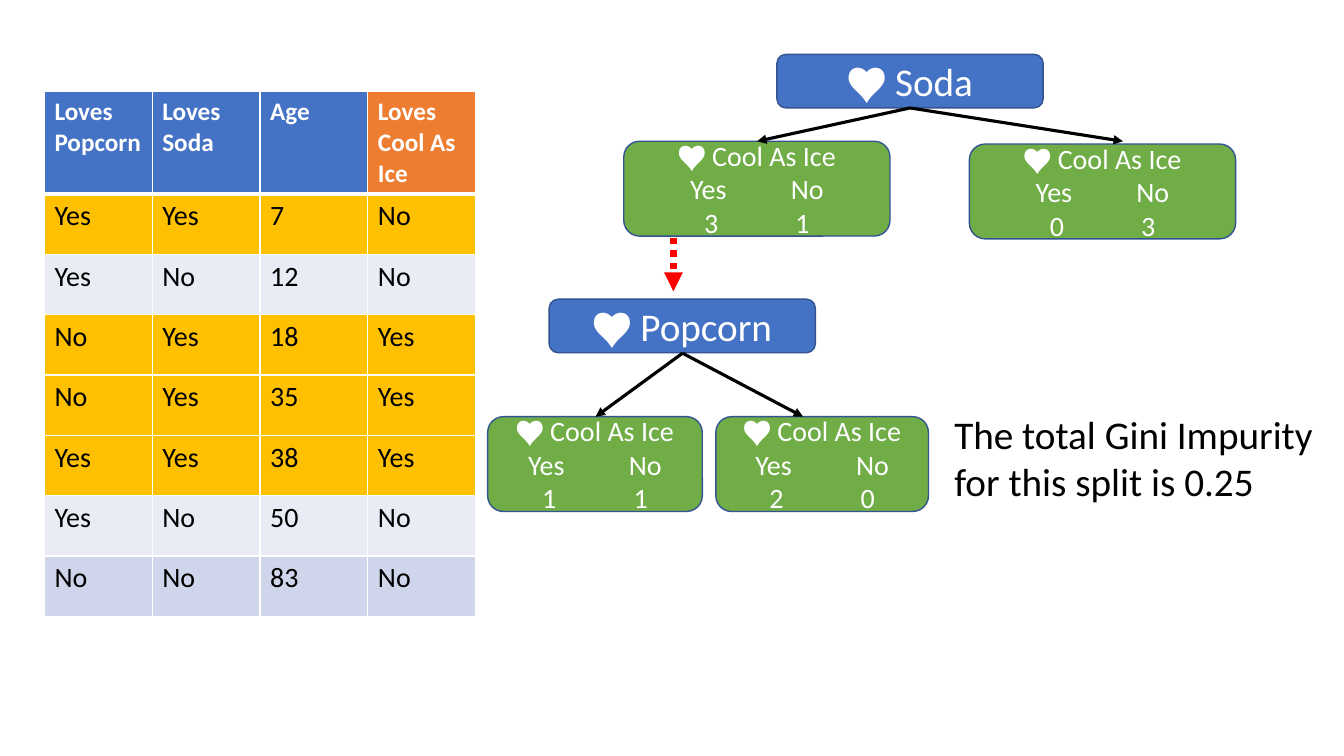
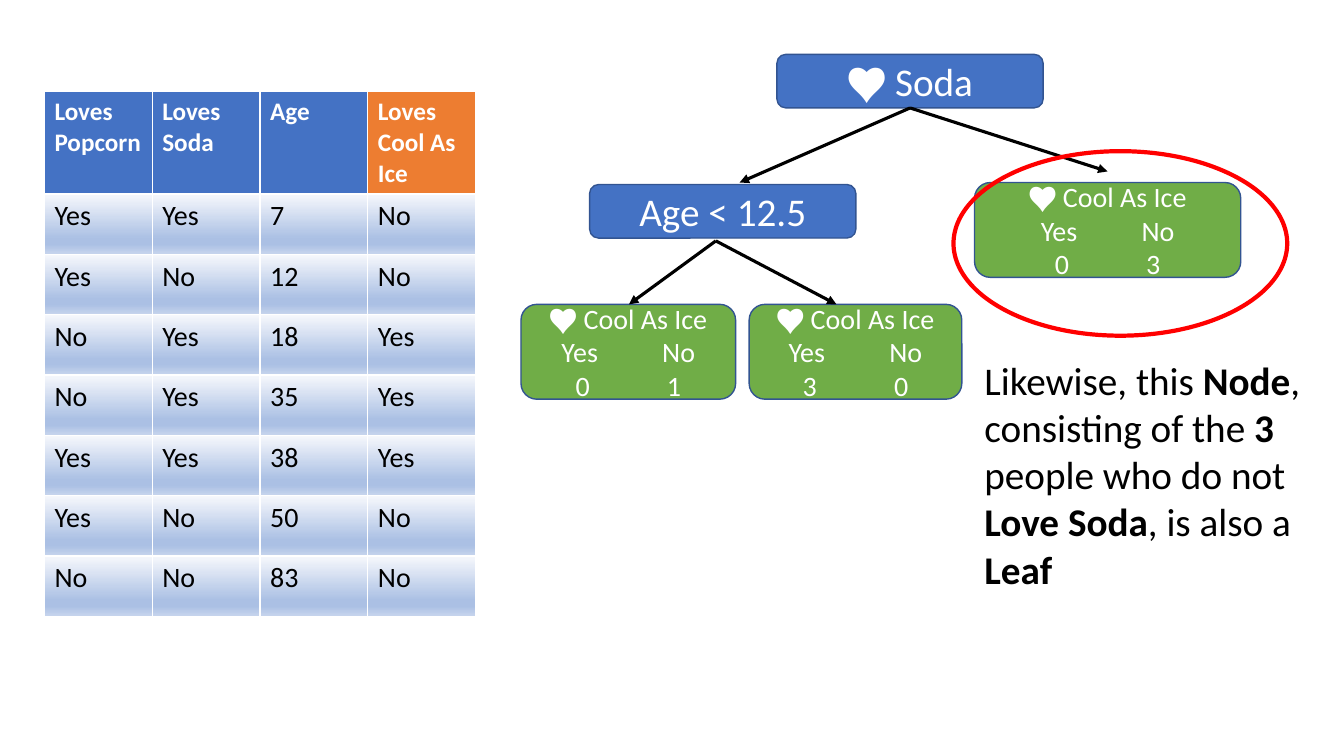
import pptx
import pptx.util
import pptx.dml.color
import pptx.enum.dml
import pptx.enum.shapes
import pptx.enum.text
import pptx.oxml.ns
from lxml import etree

Cm, Pt = pptx.util.Cm, pptx.util.Pt
FORM = pptx.enum.shapes.MSO_SHAPE
MID = pptx.enum.text.MSO_ANCHOR.MIDDLE
MIDWAY = pptx.enum.text.PP_ALIGN.CENTER

FONT = "Calibri"
WHITE, BLACK, RED = "FFFFFF", "000000", "FF0000"
BLUE, GREEN, EDGE = "4472C4", "70AD47", "325491"
ORANGE, GOLD = "ED7D31", "FFC000"
BANDS = ["E9EBF5", "CFD5EA"]
FADE = [(0, "F6F8FC"), (74, "ABC0E4"), (83, "ABC0E4"), (100, "C7D5ED")]

NODE_W, NODE_H = 6.71, 1.35
LEAF_H = 2.39
ROOT = (19.58, 1.37)

HEAD = ["Loves Popcorn", "Loves Soda", "Age", "Loves Cool As Ice"]
PEOPLE = [
    ["Yes", "Yes", "7", "No"],
    ["Yes", "No", "12", "No"],
    ["No", "Yes", "18", "Yes"],
    ["No", "Yes", "35", "Yes"],
    ["Yes", "Yes", "38", "Yes"],
    ["Yes", "No", "50", "No"],
    ["No", "No", "83", "No"],
]


def rgb(code):
    return pptx.dml.color.RGBColor.from_string(code)


def child(parent, tag, **attrs):
    """Append a DrawingML element."""
    return etree.SubElement(parent, pptx.oxml.ns.qn("a:" + tag), attrs)


def write(para, text, size, color, bold=False):
    run = para.add_run()
    run.text = text
    font = run.font
    font.name, font.size, font.bold = FONT, Pt(size), bold
    font.color.rgb = rgb(color)


def shape(slide, form, box, fill, line, width):
    item = slide.shapes.add_shape(form, *map(Cm, box))
    item.shadow.inherit = False
    if fill:
        item.fill.solid()
        item.fill.fore_color.rgb = rgb(fill)
    else:
        item.fill.background()
    item.line.color.rgb = rgb(line)
    item.line.width = Pt(width)
    return item


def label(slide, box, fill, size, lines):
    """Rounded box with centred lines, each a (text, tab stop) pair."""
    item = shape(slide, FORM.ROUNDED_RECTANGLE, box, fill, EDGE, 1)
    frame = item.text_frame
    frame.word_wrap = True
    frame.vertical_anchor = MID
    for i, (text, stop) in enumerate(lines):
        para = frame.add_paragraph() if i else frame.paragraphs[0]
        para.alignment = MIDWAY
        if stop:
            tabs = child(para._p.get_or_add_pPr(), "tabLst")
            child(tabs, "tab", pos=str(Cm(stop)), algn="l")
        write(para, text, size, WHITE)


def node(slide, x, y, text):
    label(slide, (x, y, NODE_W, NODE_H), BLUE, 28, [(text, None)])


def leaf(slide, x, y, width, yes, no):
    lines = [("♥︎ Cool As Ice", None), ("Yes\tNo", 2.54), (f"{yes}\t{no}", 2.3)]
    label(slide, (x, y, width, LEAF_H), GREEN, 20, lines)


def arrow(slide, start, end, color=BLACK, width=2.25, dash=None):
    kind = pptx.enum.shapes.MSO_CONNECTOR.STRAIGHT
    item = slide.shapes.add_connector(kind, *map(Cm, start + end))
    item.line.color.rgb = rgb(color)
    item.line.width = Pt(width)
    if dash:
        item.line.dash_style = dash
    child(item.line._get_or_add_ln(), "tailEnd", type="triangle")
    child(item._element.spPr, "effectLst")


def fork(slide, start, *ends):
    for end in ends:
        arrow(slide, start, end)


def root(slide, left, right):
    """Top node with arrows to the two given points."""
    x, y = ROOT
    node(slide, x, y, "♥︎ Soda")
    fork(slide, (x + NODE_W / 2, y + NODE_H), left, right)


def split(slide, x, y, head, text, left, right):
    """Lower node at head, with its two leaves side by side from x, y."""
    node(slide, *head, text)
    leaf(slide, x, y, 5.41, *left)
    leaf(slide, x + 5.75, y, 5.36, *right)
    fork(slide, (x + 4.91, y - 1.6), (x + 2.72, y), (x + 7.95, y))


def note(slide, box, parts):
    """Text box whose every second part is bold."""
    frame = slide.shapes.add_textbox(*map(Cm, box)).text_frame
    frame.word_wrap = True
    for i, part in enumerate(parts):
        write(frame.paragraphs[0], part, 28, BLACK, i % 2 == 1)


def edge(props, side, width):
    line = child(props, "ln" + side, w=str(Pt(width)))
    child(child(line, "solidFill"), "srgbClr", val=WHITE)


def fade(props):
    grad = child(props, "gradFill", rotWithShape="1")
    stops = child(grad, "gsLst")
    for pos, color in FADE:
        child(child(stops, "gs", pos=str(pos * 1000)), "srgbClr", val=color)
    child(grad, "lin", ang="5400000", scaled="0")


def tint(row, col, person):
    """Solid fill of a cell; soda lovers stand out."""
    if row == 0:
        return ORANGE if col == len(HEAD) - 1 else BLUE
    return GOLD if person[1] == "Yes" else BANDS[row % 2]


def grid(slide, x, y, faded):
    rows = [HEAD] + PEOPLE
    high = [2.49] + [1.52] * len(PEOPLE)
    box = (x, y, 10.87, sum(high))
    table = slide.shapes.add_table(len(rows), len(HEAD), *map(Cm, box)).table
    table.horz_banding = False
    rule = 1 if faded else 3
    for r, values in enumerate(rows):
        table.rows[r].height = Cm(high[r])
        for c, text in enumerate(values):
            cell = table.cell(r, c)
            props = cell._tc.get_or_add_tcPr()
            for side in "LRTB":
                thick = (r, side) in [(0, "B"), (1, "T")]
                edge(props, side, rule if thick else 1)
            if faded and r:
                fade(props)
            else:
                cell.fill.solid()
                cell.fill.fore_color.rgb = rgb(tint(r, c, values))
            style = (20, BLACK) if r else (18, WHITE, True)
            write(cell.text_frame.paragraphs[0], text, *style)


def start(deck, faded):
    slide = deck.slides.add_slide(deck.slide_layouts[6])
    grid(slide, 1.12, 2.31, faded)
    return slide


def popcorn(deck):
    slide = start(deck, False)
    leaf(slide, 15.72, 3.56, NODE_W, 3, 1)
    leaf(slide, 24.43, 3.63, NODE_W, 0, 3)
    root(slide, (19.08, 3.56), (28.3, 3.56))
    split(slide, 12.29, 10.5, (13.84, 7.54), "♥︎ Popcorn", (1, 1), (2, 0))
    dots = pptx.enum.dml.MSO_LINE.ROUND_DOT
    arrow(slide, (16.97, 5.99), (16.97, 7.34), RED, 4.5, dots)
    note(slide, (23.8, 10.21, 9.91, 2.64),
         ["The total Gini Impurity for this split is 0.25"])


def age(deck):
    slide = start(deck, True)
    root(slide, (18.64, 4.6), (27.91, 4.32))
    leaf(slide, 24.56, 4.6, NODE_W, 0, 3)
    split(slide, 13.13, 7.67, (14.86, 4.65), "Age < 12.5", (0, 1), (3, 0))
    note(slide, (24.56, 8.86, 8.86, 6.25),
         ["Likewise, this ", "Node", ", consisting of the ", "3",
          " people who do not ", "Love Soda", ", is also a ", "Leaf"])
    shape(slide, FORM.OVAL, (24.03, 3.81, 8.41, 4.65), None, RED, 3)


def main():
    deck = pptx.Presentation()
    deck.slide_width, deck.slide_height = Cm(33.87), Cm(19.05)
    popcorn(deck)
    age(deck)
    deck.save("out.pptx")


if __name__ == "__main__":
    main()
